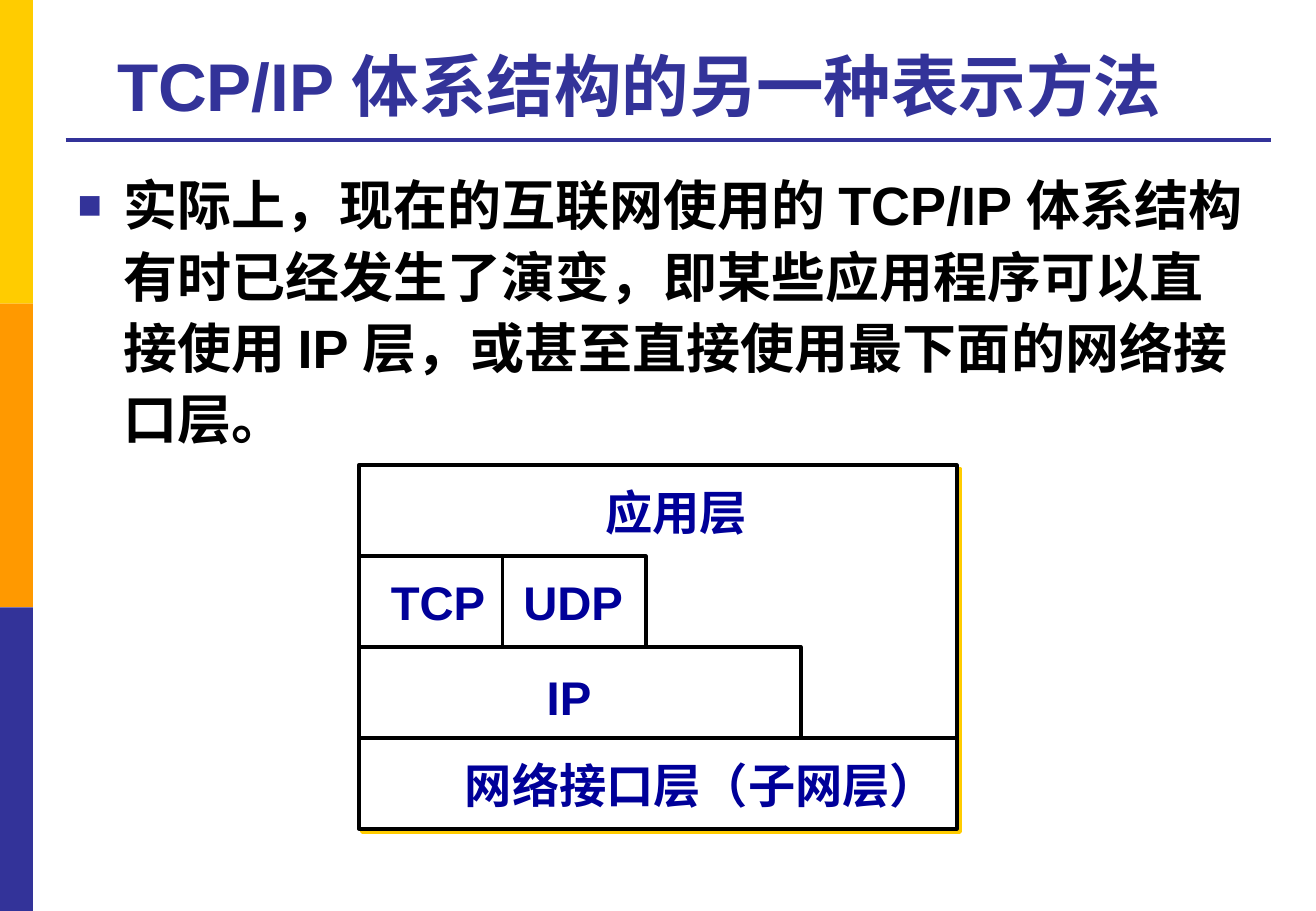
from lxml import etree
from pptx import Presentation
from pptx.dml.color import RGBColor
from pptx.enum.shapes import MSO_CONNECTOR, MSO_SHAPE
from pptx.enum.text import MSO_ANCHOR, MSO_AUTO_SIZE, PP_ALIGN
from pptx.oxml import parse_xml
from pptx.oxml.ns import qn
from pptx.util import Cm, Pt

RECT = MSO_SHAPE.RECTANGLE
LINE = MSO_CONNECTOR.STRAIGHT
NONE = MSO_AUTO_SIZE.NONE
YELLOW = RGBColor(0xFF, 0xCC, 0x00)
ORANGE = RGBColor(0xFF, 0x99, 0x00)
INDIGO = RGBColor(0x33, 0x33, 0x99)
NAVY = RGBColor(0x00, 0x00, 0x99)
BLACK = RGBColor(0, 0, 0)
WHITE = RGBColor(0xFF, 0xFF, 0xFF)
NS = 'xmlns:a="http://schemas.openxmlformats.org/drawingml/2006/main"'


def add_run(para, text, size, color):
    run = para.add_run()
    run.text = text
    run.font.name = "Arial"
    run.font.size = Pt(size)
    run.font.bold = True
    run.font.color.rgb = color


def add_line(x1, y1, x2, y2, color, width):
    line = slide.shapes.add_connector(LINE, Cm(x1), Cm(y1), Cm(x2), Cm(y2))
    line.line.color.rgb = color
    line.line.width = Pt(width)
    etree.SubElement(line._element.spPr, qn("a:effectLst"))


prs = Presentation()
prs.slide_width, prs.slide_height = Cm(27.51), Cm(19.05)
slide = prs.slides.add_slide(prs.slide_layouts[1])

# Colour rail on the left and rule under the title
for i, color in enumerate([YELLOW, ORANGE, INDIGO]):
    bar = slide.shapes.add_shape(RECT, 0, Cm(6.35 * i), Cm(0.69), Cm(6.35))
    bar.shadow.inherit = False
    bar.fill.solid()
    bar.fill.fore_color.rgb = color
    bar.line.fill.background()
add_line(1.37, 2.92, 26.57, 2.92, INDIGO, 2.25)

# Title
title = slide.shapes.title
title.left, title.top, title.width, title.height = Cm(1.37), Cm(0.53), Cm(23.98), Cm(2.21)
frame = title.text_frame
frame.auto_size = NONE
frame.vertical_anchor = MSO_ANCHOR.BOTTOM
para = frame.paragraphs[0]
para.alignment = PP_ALIGN.CENTER
add_run(para, "TCP/IP 体系结构的另一种表示方法", 40, INDIGO)

# Body with a square bullet
body = slide.placeholders[1]
body.left, body.top, body.width, body.height = Cm(1.37), Cm(3.33), Cm(25.17), Cm(13.72)
frame = body.text_frame
frame.auto_size = NONE
para = frame.paragraphs[0]
props = para._p.get_or_add_pPr()
props.set("marL", str(Cm(0.95)))
props.set("indent", str(-Cm(0.95)))
for bullet in (f'<a:buClr {NS}><a:srgbClr val="{INDIGO}"/></a:buClr>',
               f'<a:buSzPct {NS} val="75000"/>',
               f'<a:buFont {NS} typeface="Arial"/>',
               f'<a:buChar {NS} char="■"/>'):
    props.append(parse_xml(bullet))
para.line_spacing = 1.1
para.space_before = Pt(0)
add_run(para, "实际上，现在的互联网使用的 TCP/IP 体系结构有时已经发生了演变，"
        "即某些应用程序可以直接使用 IP 层，或甚至直接使用最下面的网络接口层。", 32, BLACK)

# Frame of the layer stack, with a yellow shadow
left, top, width, row = 7.5, 9.73, 12.5, 1.9
stack = slide.shapes.add_shape(RECT, Cm(left), Cm(top), Cm(width), Cm(4 * row))
stack.fill.solid()
stack.fill.fore_color.rgb = WHITE
stack.line.color.rgb = BLACK
stack.line.width = Pt(2.25)
stack._element.spPr.append(parse_xml(
    f'<a:effectLst {NS}><a:outerShdw dist="{Pt(2.8)}" dir="2700000" algn="ctr" rotWithShape="0">'
    f'<a:srgbClr val="{YELLOW}"/></a:outerShdw></a:effectLst>'))

# Borders between the layers
add_line(left, top + 3 * row, left + width, top + 3 * row, BLACK, 2.25)
for level, span in [(2, 9.24), (1, 6)]:
    y = top + level * row
    right = Cm(left + span)
    path = slide.shapes.build_freeform(Cm(left), Cm(y))
    path.add_line_segments([(right, Cm(y)), (right, Cm(y + row))], close=False)
    step = path.convert_to_shape()
    step.shadow.inherit = False
    step.fill.background()
    step.line.color.rgb = BLACK
    step.line.width = Pt(2.25)
add_line(left + 3, top + row, left + 3, top + 2 * row, BLACK, 1.5)

# Layer names
for text, x, y, wide in [("应用层", 12.4, 9.98, 3.84),
                         ("TCP", 7.92, 11.86, 2.5),
                         ("UDP", 10.69, 11.86, 2.6),
                         ("IP", 11.18, 13.84, 1.57),
                         ("网络接口层（子网层）", 9.47, 15.7, 11.51)]:
    label = slide.shapes.add_textbox(Cm(x), Cm(y), Cm(wide), Cm(1.45))
    label.text_frame.word_wrap = False
    add_run(label.text_frame.paragraphs[0], text, 28, NAVY)

prs.save("out.pptx")
